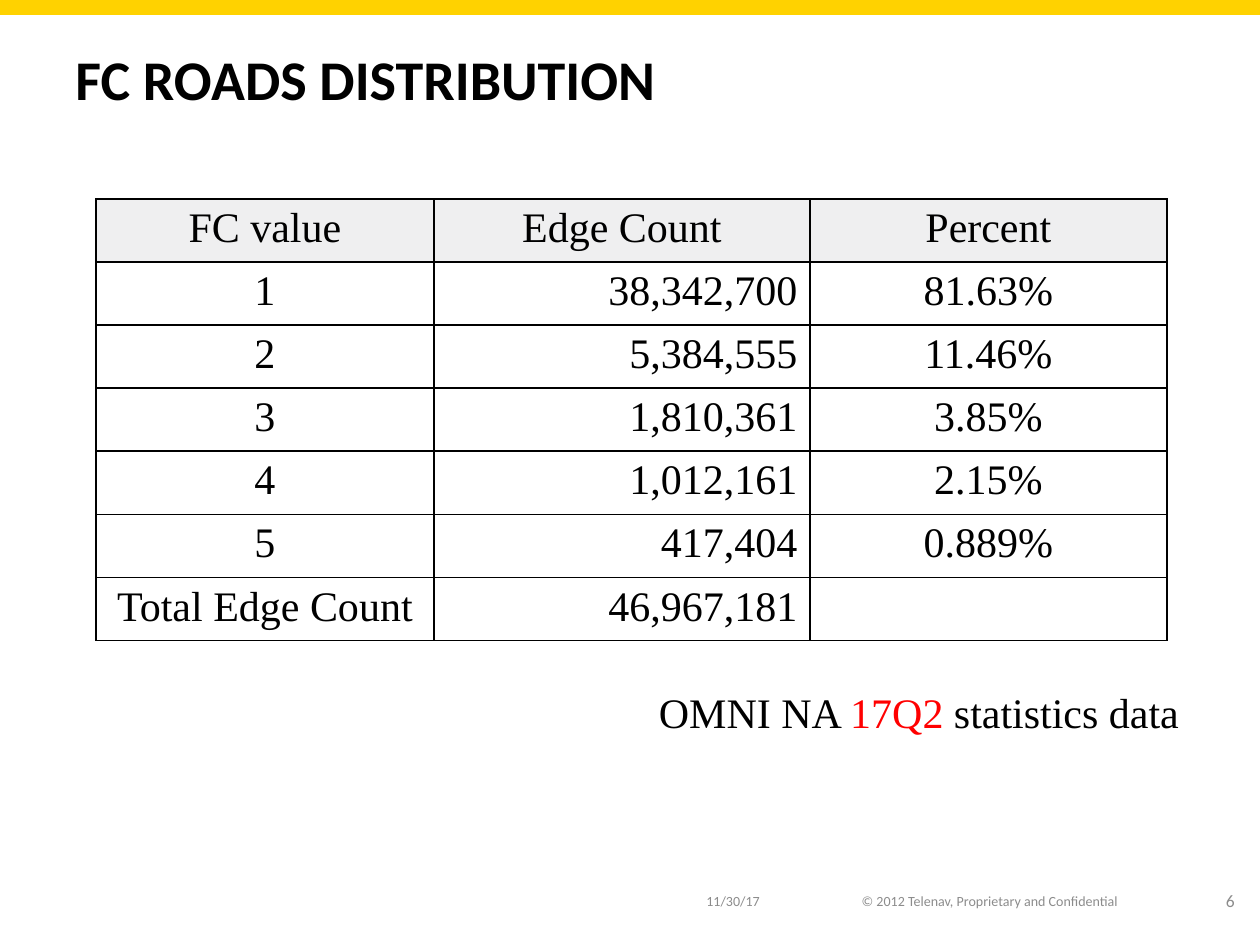
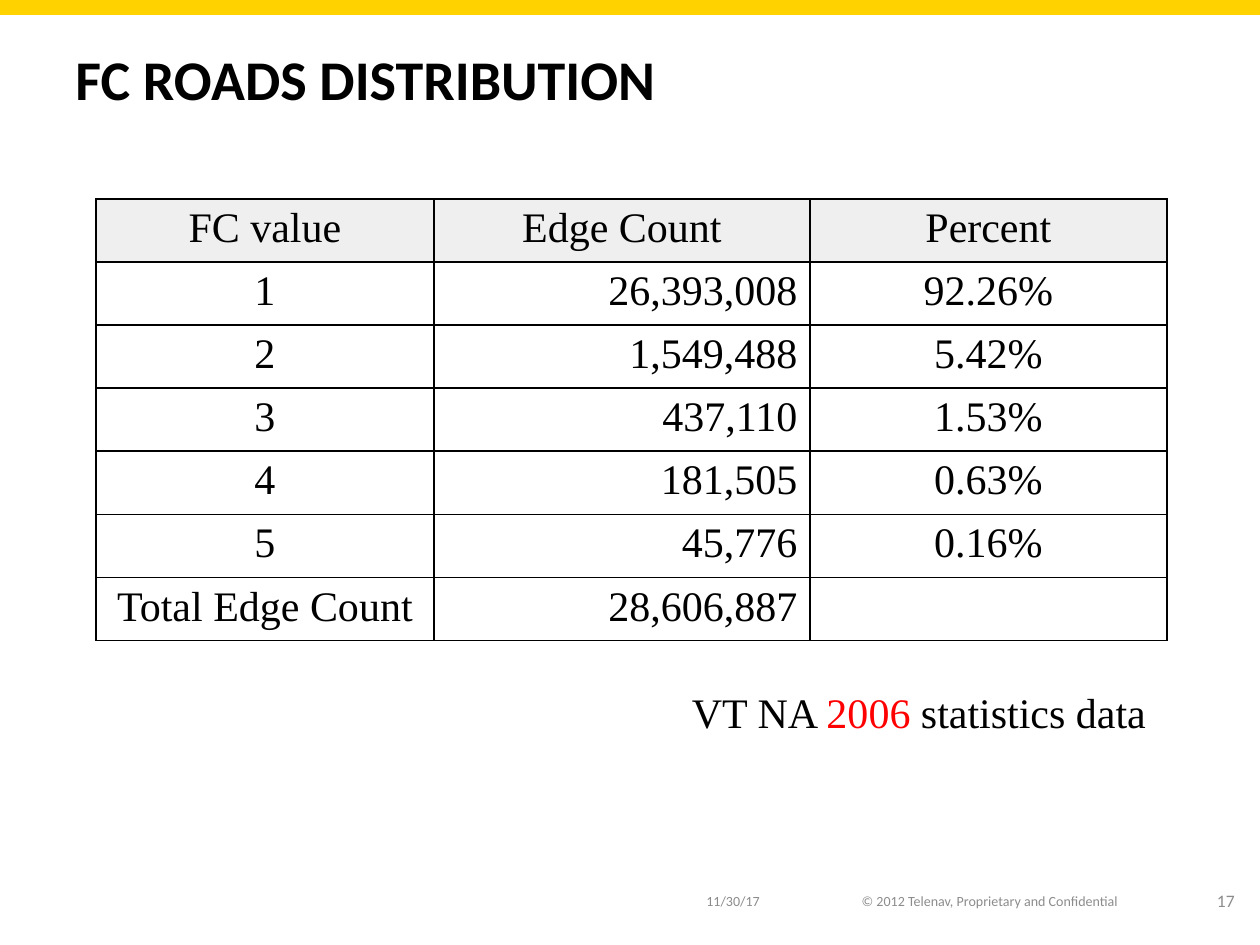
from lxml import etree
from pptx import Presentation
from pptx import util as u
from pptx.dml.color import RGBColor
from pptx.enum import shapes, text
from pptx.oxml.ns import qn

COLORS = {"band": "FFD200", "ink": "000000", "footer": "8C8C8C",
          "header": "EFEFF0", "accent": "FF0000"}
SANS, SERIF = "Calibri", "Times New Roman"
LEFT, CENTER, RIGHT = text.PP_ALIGN.LEFT, text.PP_ALIGN.CENTER, text.PP_ALIGN.RIGHT
TOP, MIDDLE = text.MSO_ANCHOR.TOP, text.MSO_ANCHOR.MIDDLE
HEADINGS = ["FC value", "Edge Count", "Percent"]
COLUMN_WIDTHS = [338, 376, 357]
COLUMN_ALIGNS = [CENTER, RIGHT, CENTER]
ROW_HEIGHT = 59

SLIDES = [
    {"number": "6", "caption": ["OMNI NA ", "17Q2", " statistics data"],
     "counts": ["38,342,700", "5,384,555", "1,810,361", "1,012,161", "417,404"],
     "percents": ["81.63%", "11.46%", "3.85%", "2.15%", "0.889%"],
     "total": "46,967,181"},
    {"number": "17", "caption": ["VT NA ", "2006", " statistics data"],
     "counts": ["26,393,008", "1,549,488", "437,110", "181,505", "45,776"],
     "percents": ["92.26%", "5.42%", "1.53%", "0.63%", "0.16%"],
     "total": "28,606,887"},
]


def px(*lengths):
    return [u.Emu(round(length * 914400 / 126)) for length in lengths]


def write(para, spans, font, size, align=LEFT, bold=False):
    para.alignment = align
    para.font.name = font
    para.font.size = u.Pt(size)
    para.font.bold = bold
    for words, color in spans:
        span = para.add_run()
        span.text = words
        span.font.color.rgb = RGBColor.from_string(COLORS[color])


deck = Presentation()
deck.slide_width, deck.slide_height = px(1260, 945)

for content in SLIDES:
    page = deck.slides.add_slide(deck.slide_layouts[6])

    band = page.shapes.add_shape(shapes.MSO_SHAPE.RECTANGLE, *px(0, 0, 1260, 14))
    band.shadow.inherit = False
    band.fill.solid()
    band.fill.fore_color.rgb = RGBColor.from_string(COLORS["band"])
    band.line.color.rgb = RGBColor.from_string(COLORS["band"])
    band.line.width = u.Pt(0.75)

    before, period, after = content["caption"]
    caption = [(before, "ink"), (period, "accent"), (after, "ink")]
    copyright_line = "© 2012 Telenav, Proprietary and Confidential"
    for place, spans, font, size, align, anchor, bold, wrap in [
        ((63, 38, 1184, 84), [("FC ROADS DISTRIBUTION", "ink")], SANS, 32, LEFT, TOP, True, True),
        ((694, 876, 100, 50), [("11/30/17", "footer")], SANS, 8, LEFT, MIDDLE, False, True),
        ((845, 876, 290, 50), [(copyright_line, "footer")], SANS, 8, CENTER, MIDDLE, False, True),
        ((1193, 876, 54, 50), [(content["number"], "footer")], SANS, 10, RIGHT, MIDDLE, False, True),
        ((645, 680, 548, 63), caption, SERIF, 24, CENTER, TOP, False, False),
    ]:
        box = page.shapes.add_textbox(*px(*place))
        box.text_frame.word_wrap = wrap
        box.text_frame.vertical_anchor = anchor
        write(box.text_frame.paragraphs[0], spans, font, size, align, bold)

    rows = [HEADINGS]
    for value, (count, percent) in enumerate(zip(content["counts"], content["percents"]), 1):
        rows.append([str(value), count, percent])
    rows.append(["Total Edge Count", content["total"], ""])

    frame = page.shapes.add_table(len(rows), len(HEADINGS),
                                  *px(96, 199, sum(COLUMN_WIDTHS), ROW_HEIGHT * len(rows)))
    table = frame.table
    table.first_row = table.horz_banding = False
    for column, width in zip(table.columns, px(*COLUMN_WIDTHS)):
        column.width = width
    for row_index, row in enumerate(rows):
        table.rows[row_index].height = px(ROW_HEIGHT)[0]
        for column_index, words in enumerate(row):
            cell = table.cell(row_index, column_index)
            properties = cell._tc.get_or_add_tcPr()
            for side in ("a:lnL", "a:lnR", "a:lnT", "a:lnB"):
                border = etree.SubElement(properties, qn(side), w=str(u.Pt(1)))
                fill = etree.SubElement(border, qn("a:solidFill"))
                etree.SubElement(fill, qn("a:srgbClr"), val=COLORS["ink"])
            if row_index == 0:
                cell.fill.solid()
                cell.fill.fore_color.rgb = RGBColor.from_string(COLORS["header"])
            else:
                cell.fill.background()
            align = COLUMN_ALIGNS[column_index] if row_index else CENTER
            spans = [(words, "ink")] if words else []
            write(cell.text_frame.paragraphs[0], spans, SERIF, 24, align)

deck.save("out.pptx")
